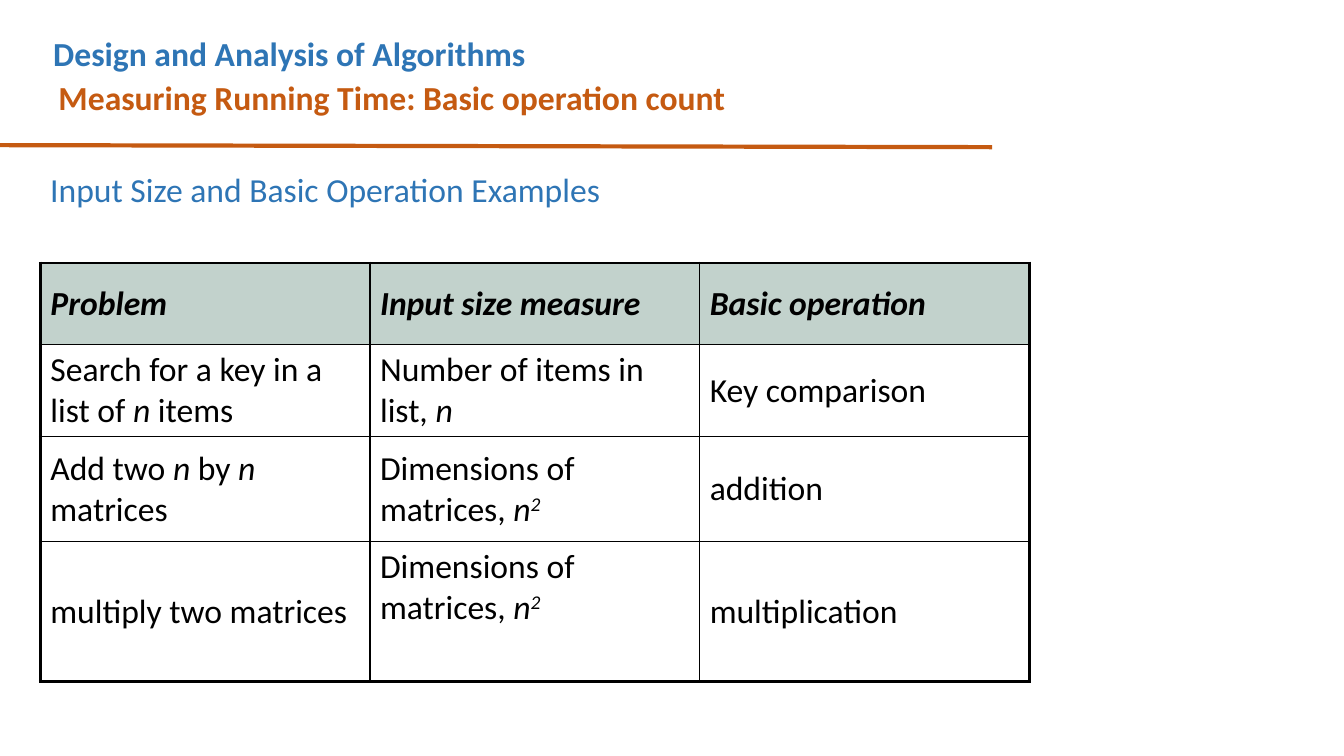
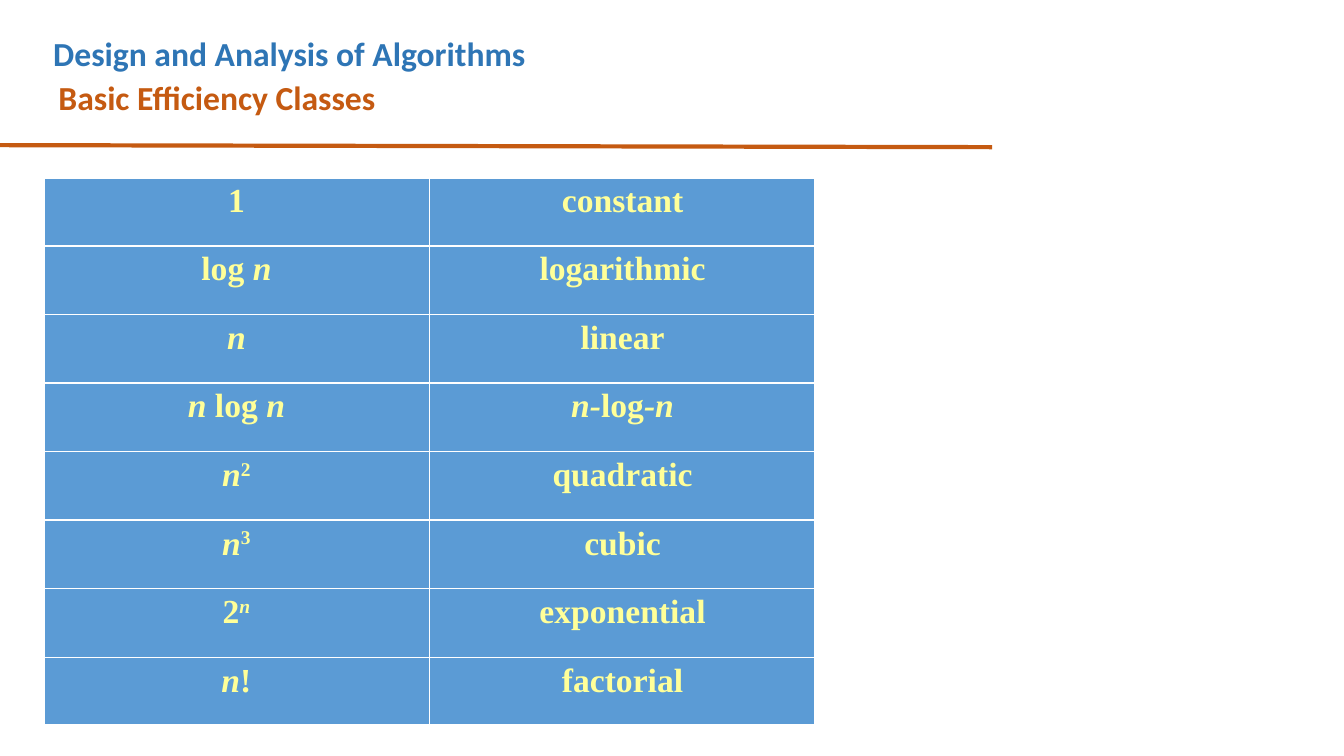
from dataclasses import dataclass

from lxml.etree import SubElement
from pptx import Presentation
from pptx.dml.color import RGBColor as Rgb
from pptx.enum.shapes import MSO_CONNECTOR as Connector
from pptx.enum.text import MSO_ANCHOR as Anchor, MSO_AUTO_SIZE as AutoSize, PP_ALIGN as Align
from pptx.oxml.ns import qn
from pptx.util import Inches, Pt


@dataclass(frozen=True)
class Theme:
    blue: str = "2E75B5"
    orange: str = "C55A11"
    black: str = "000000"
    white: str = "FFFFFF"
    header_fill: str = "C2D2CC"
    class_fill: str = "5B9BD5"
    class_text: str = "FFFF99"
    sans: str = "Calibri"
    serif: str = "Times New Roman"
    text_size: int = 24
    rule_width: float = 3
    outer_border: float = 2.25
    inner_border: float = 1


@dataclass(frozen=True)
class TableLook:
    """Text and border style of a whole table."""
    color: str
    border: str
    face: str
    bold: bool = False
    align: Align = Align.LEFT
    anchor: Anchor = Anchor.MIDDLE


class Slides:
    """Holds the theme, the deck and the current slide."""

    def __init__(self, theme):
        self.theme = theme
        self.deck = Presentation()
        self.deck.slide_width, self.deck.slide_height = Inches(13.33), Inches(7.5)
        self.page = None

    # Shared header: course name, slide title and rule
    def new_page(self, title):
        theme = self.theme
        self.page = self.deck.slides.add_slide(self.deck.slide_layouts[5])
        self.text(0.43, 0.28, 8.2, 0.5, "Design and Analysis of Algorithms", theme.blue, bold=True)
        self.text(0.48, 0.71, 8.68, 0.5, title, theme.orange, bold=True, box=self.page.shapes.title)
        self.rule(0, 1.44, 9.84, 1.46)

    def text(self, left, top, width, height, words, color, bold=False,
             anchor=Anchor.TOP, spacing=1.0, box=None):
        place = [Inches(value) for value in (left, top, width, height)]
        box = box or self.page.shapes.add_textbox(*place)
        box.left, box.top, box.width, box.height = place
        frame = box.text_frame
        frame_format = {"word_wrap": True, "auto_size": AutoSize.NONE, "vertical_anchor": anchor}
        for name, value in frame_format.items():
            setattr(frame, name, value)
        para = frame.paragraphs[0]
        para.alignment, para.line_spacing = Align.LEFT, spacing
        self.add_spans(para, words, color, self.theme.sans, bold)

    def rule(self, left, top, right, bottom):
        ends = [Inches(value) for value in (left, top, right, bottom)]
        line = self.page.shapes.add_connector(Connector.STRAIGHT, *ends)
        line.line.color.rgb = Rgb.from_string(self.theme.orange)
        line.line.width = Pt(self.theme.rule_width)
        SubElement(line._element.spPr, qn("a:effectLst"))

    def add_spans(self, para, words, color, face, bold=False):
        """Add runs: *...* is italic, ^...^ is superscript."""
        for i, piece in enumerate(words.split("*")):
            for j, part in enumerate(piece.split("^")):
                if not part:
                    continue
                span = para.add_run()
                span.text = part
                font_format = {"name": face, "size": Pt(self.theme.text_size),
                               "bold": bold, "italic": i % 2 == 1}
                for name, value in font_format.items():
                    setattr(span.font, name, value)
                span.font.color.rgb = Rgb.from_string(color)
                if j % 2:
                    span._r.get_or_add_rPr().set("baseline", "30000")

    def table(self, left, top, col_width, row_heights, rows, look, fill=None, header_fill=None):
        count = len(rows[0])
        frame = self.page.shapes.add_table(
            len(rows), count, Inches(left), Inches(top),
            Inches(col_width * count), Inches(sum(row_heights)))
        table = frame.table
        table.first_row = table.horz_banding = False
        for column in table.columns:
            column.width = Inches(col_width)
        for r, (height, words) in enumerate(zip(row_heights, rows)):
            table.rows[r].height = Inches(height)
            is_header = bool(header_fill) and r == 0
            for c, cell_words in enumerate(words):
                cell = table.cell(r, c)
                is_outer = {"lnL": c == 0, "lnR": c == count - 1,
                            "lnT": r == 0, "lnB": r == len(rows) - 1}
                self.borders(cell, is_outer, look.border)
                self.fill(cell, header_fill if is_header else fill)
                cell.vertical_anchor = look.anchor
                para = cell.text_frame.paragraphs[0]
                para.alignment = look.align
                self.add_spans(para, f"*{cell_words}*" if is_header else cell_words,
                               look.color, look.face, look.bold or is_header)
        return table

    def borders(self, cell, is_outer, color):
        props = cell._tc.get_or_add_tcPr()
        for side, outer in is_outer.items():
            width = self.theme.outer_border if outer else self.theme.inner_border
            line = SubElement(props, qn(f"a:{side}"), w=str(int(Pt(width))))
            solid = SubElement(line, qn("a:solidFill"))
            SubElement(solid, qn("a:srgbClr"), val=color)

    def fill(self, cell, color):
        if color:
            cell.fill.solid()
            cell.fill.fore_color.rgb = Rgb.from_string(color)
        else:
            cell.fill.background()


def main():
    theme = Theme()
    slides = Slides(theme)

    # Input size and basic operation examples
    slides.new_page("Measuring Running Time: Basic operation count")
    slides.text(0.4, 1.53, 9.33, 0.75, "Input Size and Basic Operation Examples",
                theme.blue, anchor=Anchor.MIDDLE, spacing=0.9)
    matrix_size = "Dimensions of matrices, *n^2^*"
    problems = [
        ("Problem", "Input size measure", "Basic operation"),
        ("Search for a key in a list of *n* items", "Number of items in list, *n*", "Key comparison"),
        ("Add two *n* by *n* matrices", matrix_size, "addition"),
        ("multiply two matrices", matrix_size, "multiplication"),
    ]
    problem_table = slides.table(
        0.4, 2.61, 3.27, [0.81, 0.9, 1.04, 1.39], problems,
        TableLook(theme.black, theme.black, theme.sans), header_fill=theme.header_fill)
    problem_table.cell(3, 1).vertical_anchor = Anchor.TOP

    # Efficiency classes
    slides.new_page("Basic Efficiency Classes")
    classes = [
        ("1", "constant"),
        ("log *n*", "logarithmic"),
        ("*n*", "linear"),
        ("*n *log *n*", "*n-*log*-n*"),
        ("*n*^2^", "quadratic"),
        ("*n*^3^", "cubic"),
        ("2*^n^*", "exponential"),
        ("*n*!", "factorial"),
    ]
    slides.table(
        0.43, 1.76, 3.83, [0.68] * len(classes), classes,
        TableLook(theme.class_text, theme.white, theme.serif, True, Align.CENTER, Anchor.TOP),
        fill=theme.class_fill)

    slides.deck.save("out.pptx")


if __name__ == "__main__":
    main()
